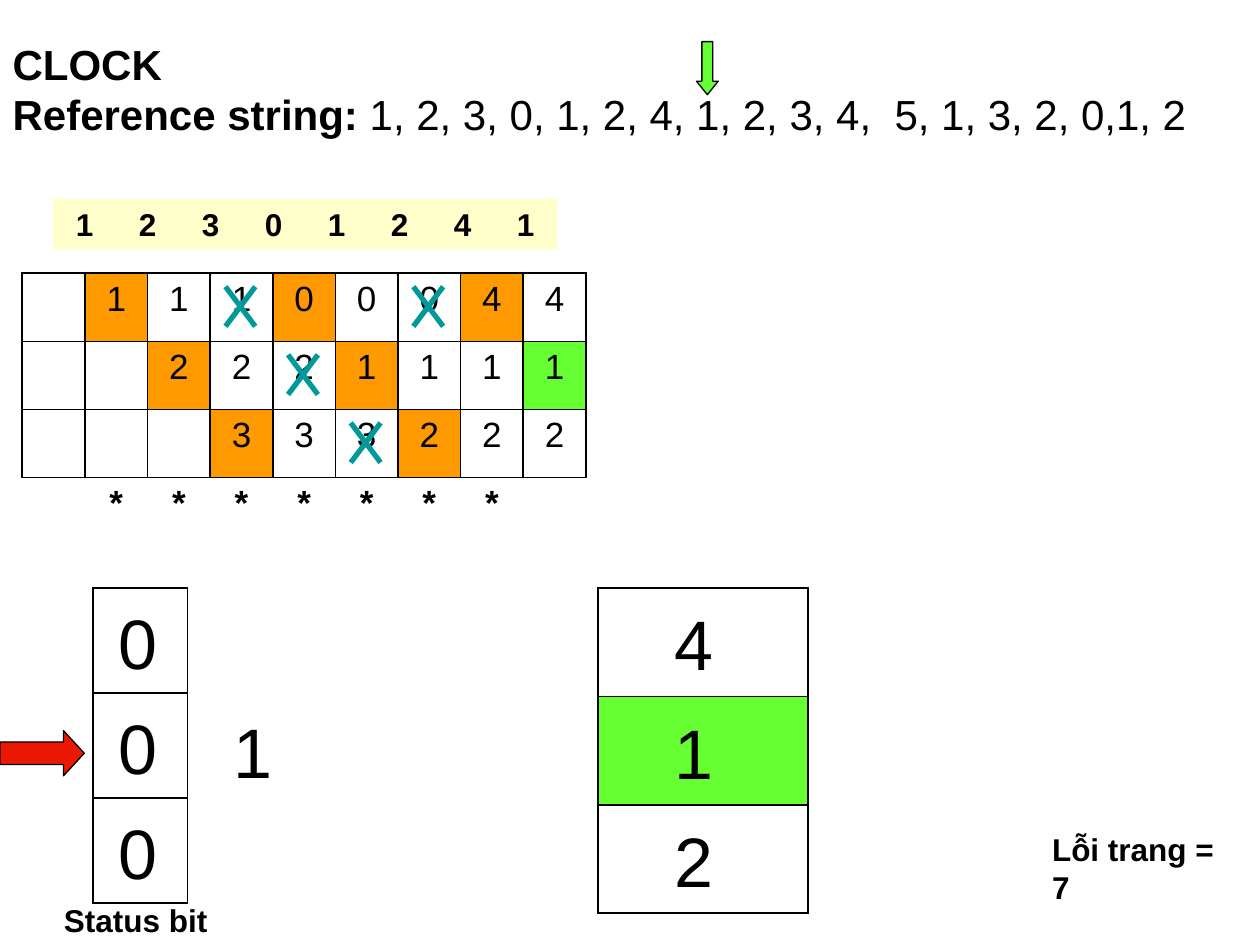
from collections import namedtuple
from dataclasses import dataclass

from lxml.etree import SubElement
from pptx import Presentation
from pptx.dml.color import RGBColor
from pptx.enum.shapes import MSO_CONNECTOR, MSO_SHAPE
from pptx.enum.text import MSO_ANCHOR, MSO_AUTO_SIZE, PP_ALIGN
from pptx.oxml.ns import qn
from pptx.util import Cm, Pt

Box = namedtuple("Box", "left top width height")


@dataclass(frozen=True)
class Theme:
    font: str = "Arial"
    ink: str = "000000"
    label: str = "FFFFCC"
    loaded: str = "FF9900"
    hit: str = "66FF33"
    hand: str = "EB1903"
    cross: str = "009999"
    heading: int = 24
    page: int = 20
    caption: int = 18
    frame: int = 40
    thick: float = 1.08
    thin: float = 0.45
    outline: float = 0.75
    cross_width: int = 3


THEME = Theme()
REFERENCES = "12301241"
HISTORY = [
    ["", "", "", ""],
    ["1", "", "", "*"],
    ["1", "2", "", "*"],
    ["1", "2", "3", "*"],
    ["0", "2", "3", "*"],
    ["0", "1", "3", "*"],
    ["0", "1", "2", "*"],
    ["4", "1", "2", "*"],
    ["4", "1", "2", ""],
]
LOADED = {(1, 0), (2, 1), (3, 2), (4, 0), (5, 1), (6, 2), (7, 0)}
HIT = (8, 1)
REPLACED = [(3, 0), (4, 1), (5, 2), (6, 0)]


def rgb(value):
    return RGBColor.from_string(value)


def in_cm(box):
    return [Cm(length) for length in box]


def format_runs(paragraph, size, bold=False):
    for run in paragraph.runs:
        run.font.name = THEME.font
        run.font.size = Pt(size)
        run.font.bold = bold
        run.font.color.rgb = rgb(THEME.ink)


def add_text(slide, box, text, size, bold=False):
    note = slide.shapes.add_textbox(*in_cm(box))
    frame = note.text_frame
    frame.text = text
    frame.word_wrap = False
    frame.auto_size = MSO_AUTO_SIZE.SHAPE_TO_FIT_TEXT
    format_runs(frame.paragraphs[0], size, bold)


def add_arrow(slide, box, preset, color, head):
    arrow = slide.shapes.add_shape(preset, *in_cm(box))
    arrow.adjustments[1] = head
    arrow.shadow.inherit = False
    arrow.fill.solid()
    arrow.fill.fore_color.rgb = rgb(color)
    arrow.line.color.rgb = rgb(THEME.ink)
    arrow.line.width = Pt(THEME.outline)


def set_borders(cell, left, right, top, bottom):
    properties = cell._tc.get_or_add_tcPr()
    for side, width in zip("LRTB", (left, right, top, bottom)):
        edge = SubElement(properties, qn(f"a:ln{side}"))
        if width:
            edge.set("w", str(Pt(width)))
            fill = SubElement(edge, qn("a:solidFill"))
            SubElement(fill, qn("a:srgbClr")).set("val", THEME.ink)
        else:
            SubElement(edge, qn("a:noFill"))


def set_fill(cell, color):
    if color:
        cell.fill.solid()
        cell.fill.fore_color.rgb = rgb(color)
    else:
        cell.fill.background()


def add_column(slide, box, rows):
    table = slide.shapes.add_table(rows, 1, *in_cm(box)).table
    table.first_row = table.horz_banding = False
    for row in table.rows:
        row.height = Cm(box.height / rows)
    return [table.cell(row, 0) for row in range(rows)]


def add_heading(slide, box):
    title = slide.shapes.title
    title.left, title.top, title.width, title.height = in_cm(box)
    frame = title.text_frame
    frame.text = "CLOCK\nReference string:"
    frame.auto_size = MSO_AUTO_SIZE.NONE
    frame.vertical_anchor = MSO_ANCHOR.TOP
    for paragraph in frame.paragraphs:
        paragraph.alignment = PP_ALIGN.LEFT
        format_runs(paragraph, THEME.heading, True)
    sequence = frame.paragraphs[1].add_run()
    sequence.text = " 1, 2, 3, 0, 1, 2, 4, 1, 2, 3, 4,  5, 1, 3, 2, 0,1, 2"
    sequence.font.name = THEME.font
    sequence.font.size = Pt(THEME.heading)
    sequence.font.bold = False
    sequence.font.color.rgb = rgb(THEME.ink)
    position = Box(box.left + 14.04, box.top + 0.2, 0.44, 1.07)
    add_arrow(slide, position, MSO_SHAPE.DOWN_ARROW, THEME.hit, 0.62)


def add_references(slide, box):
    step = box.width / len(REFERENCES)
    for index, page in enumerate(REFERENCES):
        place = Box(box.left + index * step, box.top, step, box.height)
        label = slide.shapes.add_shape(MSO_SHAPE.RECTANGLE, *in_cm(place))
        label.shadow.inherit = False
        label.fill.solid()
        label.fill.fore_color.rgb = rgb(THEME.label)
        label.line.fill.background()
        label.text_frame.text = page
        label.text_frame.vertical_anchor = MSO_ANCHOR.MIDDLE
        paragraph = label.text_frame.paragraphs[0]
        paragraph.alignment = PP_ALIGN.CENTER
        format_runs(paragraph, THEME.caption, True)


def add_cross(slide, box):
    group = slide.shapes.add_group_shape()
    left, right = Cm(box.left), Cm(box.left + box.width)
    top, bottom = Cm(box.top), Cm(box.top + box.height)
    for start, end in ((right, left), (left, right)):
        stroke = group.shapes.add_connector(MSO_CONNECTOR.STRAIGHT, start, top, end, bottom)
        stroke.line.color.rgb = rgb(THEME.cross)
        stroke.line.width = Pt(THEME.cross_width)
        SubElement(stroke._element.spPr, qn("a:effectLst"))


def add_history(slide, box):
    step = box.width / len(HISTORY)
    row_height = box.height / 4
    edges = [THEME.thick, THEME.thin, THEME.thin, THEME.thick, None]
    for column, pages in enumerate(HISTORY):
        place = Box(box.left + column * step, box.top, step, box.height)
        for row, cell in enumerate(add_column(slide, place, len(pages))):
            side = THEME.thick if row < 3 else None
            set_borders(cell, side, side, edges[row], edges[row + 1])
            spot = (column, row)
            set_fill(cell, THEME.hit if spot == HIT else THEME.loaded if spot in LOADED else None)
            cell.text_frame.text = pages[row]
            paragraph = cell.text_frame.paragraphs[0]
            paragraph.alignment = PP_ALIGN.CENTER
            paragraph.space_before = Pt(5)
            format_runs(paragraph, THEME.page, row == 3)
    for column, row in REPLACED:
        left = box.left + column * step + 0.31
        add_cross(slide, Box(left, box.top + row * row_height + 0.27, 0.6, 0.8))


def add_stack(slide, box, values, inset, drop, hit_row=None):
    step = box.height / len(values)
    for row, cell in enumerate(add_column(slide, box, len(values))):
        set_borders(cell, *[THEME.thick] * 4)
        set_fill(cell, THEME.hit if row == hit_row else None)
    for row, value in enumerate(values):
        place = Box(box.left + inset, box.top + drop + row * step, 1.3, 1.96)
        add_text(slide, place, value, THEME.frame)


def add_status(slide, box):
    add_stack(slide, box, "000", 0.25, 0.1)
    hand = Box(box.left - 1.88, box.top + 2.87, 1.7, 0.91)
    add_arrow(slide, hand, MSO_SHAPE.RIGHT_ARROW, THEME.hand, 0.46)
    add_text(slide, Box(box.left + 2.57, box.top + 2.29, 1.3, 1.96), "1", THEME.frame)
    caption = Box(box.left - 0.84, box.top + 6.17, 3.4, 1.02)
    add_text(slide, caption, "Status bit", THEME.caption, True)


def main():
    deck = Presentation()
    deck.slide_width, deck.slide_height = Cm(25.4), Cm(19.05)
    slide = deck.slides.add_slide(deck.slide_layouts[5])
    add_heading(slide, Box(0, 0.64, 25.4, 2.29))
    add_references(slide, Box(1.07, 4.01, 10.16, 1.02))
    add_history(slide, Box(0.45, 5.51, 11.36, 5.49))
    add_status(slide, Box(1.88, 11.86, 1.9, 6.35))
    add_stack(slide, Box(12.06, 11.86, 4.23, 6.55), "412", 1.28, 0.13, 1)
    add_text(slide, Box(20.96, 16.61, 4.29, 1.02), "Lỗi trang = 7", THEME.caption, True)
    deck.save("out.pptx")


if __name__ == "__main__":
    main()
